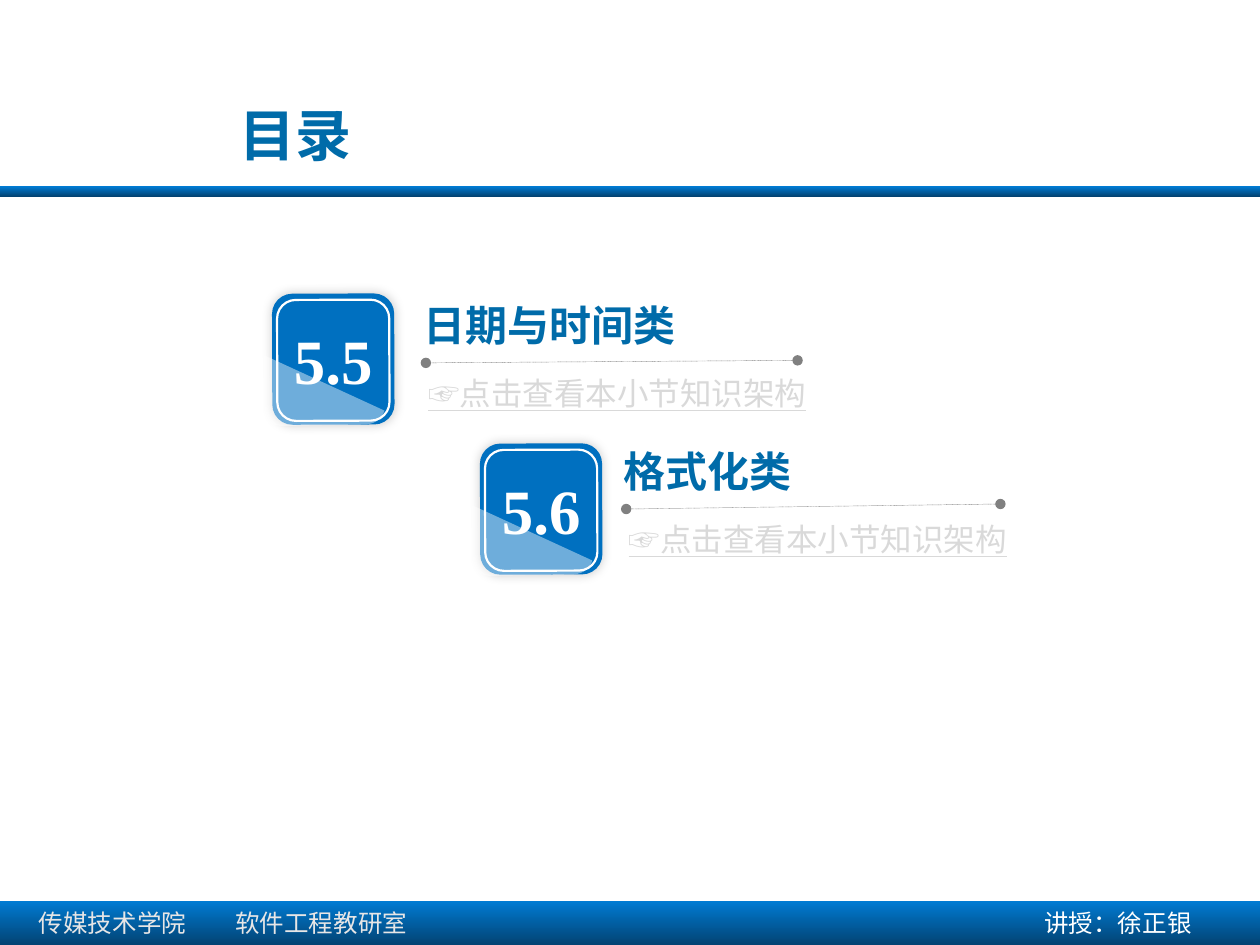
from lxml import etree
from pptx import Presentation, util as u
from pptx.dml.color import RGBColor
from pptx.enum import shapes, text
from pptx.oxml import ns

COLUMNS, ROWS = 100, 75
THEME = {
    "bar_top": "007BD3", "bar_bottom": "034373", "badge": "0070C0",
    "title": "006BA9", "hint": "D9D9D9", "rule": "808080",
    "white": "FFFFFF", "pale": "E7E6E6", "shadow": "000000",
    "heading_font": "Noto Sans CJK SC", "footer_font": "Arial", "number_font": "Times New Roman",
    "page_size": 32, "title_size": 24, "hint_size": 18, "number_size": 36, "footer_size": 14,
}
HEADING = "目录"
HINT = "☞点击查看本小节知识架构"
BARS = [(14.8, 0.8), (71.5, 3.5)]
FOOTERS = [
    ("传媒技术学院\t软件工程教研室", (2.1, 71.6, 37.8, 3.4), "pale"),
    ("讲授：徐正银", (81.9, 71.6, 17.8, 3.4), "white"),
]
SECTIONS = [
    {"number": "5.5", "title": "日期与时间类", "badge": (21.6, 23.3), "title_box": (32.6, 23.3, 22.2, 5.1),
     "rule": (29.5, -0.2), "hint_width": 33},
    {"number": "5.6", "title": "格式化类", "badge": (38.1, 35.2), "title_box": (48.5, 34.9, 15.5, 5.1),
     "rule": (29.7, -0.4), "hint_width": 35.7},
]
BADGE_SIZE = (9.7, 10.4)
TILT = 359.8
SHEEN_START = (-0.8, 4.8)
SHEEN_CORNERS = [
    [(8.9, 9.3), (8.7, 10), (8.1, 10.4), (7.3, 10.4)],
    [(0.8, 10.5), (-0.1, 10.5), (-0.8, 9.9), (-0.8, 9.2)],
]

deck = Presentation()
deck.slide_width, deck.slide_height = u.Inches(10), u.Inches(7.5)
page = deck.slides.add_slide(deck.slide_layouts[6])


def place(*lengths):
    units = (deck.slide_width / COLUMNS, deck.slide_height / ROWS)
    return [round(length * units[i % 2]) for i, length in enumerate(lengths)]


def color(name):
    return RGBColor.from_string(THEME[name])


def add_xml(parent, tag, **attributes):
    return etree.SubElement(parent, ns.qn(tag), attributes)


def style_text(para, font, size, tint, bold=False, underline=False):
    for span in para.runs:
        span.font.name = THEME[font]
        span.font.size = u.Pt(THEME[size])
        span.font.color.rgb = color(tint)
        span.font.bold = bold
        span.font.underline = underline
        add_xml(span.font._element, "a:ea", typeface=THEME[font])


def add_text(words, area, font, size, tint, wrap=True, hanging=False, tab=None,
             anchor=text.MSO_ANCHOR.TOP, **style):
    box = page.shapes.add_textbox(*place(*area))
    frame = box.text_frame
    frame.text = words
    frame.word_wrap = wrap
    frame.vertical_anchor = anchor
    para = frame.paragraphs[0]
    properties = para._p.get_or_add_pPr()
    if hanging:
        properties.set("marL", str(u.Inches(0.62)))
        properties.set("indent", str(-u.Inches(0.62)))
    if tab:
        stops = add_xml(properties, "a:tabLst")
        add_xml(stops, "a:tab", pos=str(place(tab)[0]), algn="l")
    style_text(para, font, size, tint, **style)


def add_box(preset, area, fill=None):
    shape = page.shapes.add_shape(preset, *place(*area))
    shape.shadow.inherit = False
    shape.line.fill.background()
    if fill:
        shape.fill.solid()
        shape.fill.fore_color.rgb = color(fill)
    else:
        shape.fill.background()
    return shape


def add_bar(top, height):
    bar = add_box(shapes.MSO_SHAPE.RECTANGLE, (0, top, COLUMNS, height))
    bar.fill.gradient()
    bar.fill.gradient_angle = 270
    for stop, name in zip(bar.fill.gradient_stops, ("bar_top", "bar_bottom")):
        stop.color.rgb = color(name)


def add_rule(left, top, run, rise):
    rule = page.shapes.add_connector(shapes.MSO_CONNECTOR.STRAIGHT,
                                     *place(left, top, left + run, top + rise))
    rule.line.width = u.Pt(0.25)
    rule.line.color.rgb = color("rule")
    line = rule.line._get_or_add_ln()
    add_xml(line, "a:prstDash", val="sysDot")
    for end in ("a:headEnd", "a:tailEnd"):
        add_xml(line, end, type="oval")
    add_xml(rule._element.spPr, "a:effectLst")


def bend(points, steps=10):
    for step in range(steps + 1):
        t = step / steps
        weights = ((1 - t) ** 3, 3 * t * (1 - t) ** 2, 3 * t * t * (1 - t), t ** 3)
        yield tuple(sum(w * p[axis] for w, p in zip(weights, points)) for axis in (0, 1))


def add_sheen(left, top):
    outline = [SHEEN_START] + [point for corner in SHEEN_CORNERS for point in bend(corner)]
    points = [place(left + x, top + y) for x, y in outline]
    builder = page.shapes.build_freeform(*points[0], scale=1.0)
    builder.add_line_segments(points[1:], close=True)
    sheen = builder.convert_to_shape()
    sheen.shadow.inherit = False
    sheen.rotation = TILT
    sheen.line.fill.background()
    sheen.fill.solid()
    sheen.fill.fore_color.rgb = color("white")
    tint = sheen._element.spPr.find(".//" + ns.qn("a:srgbClr"))
    add_xml(tint, "a:alpha", val="43000")


def add_badge(number, left, top):
    width, height = BADGE_SIZE
    badge = add_box(shapes.MSO_SHAPE.ROUNDED_RECTANGLE, (left, top, width, height), "badge")
    badge.rotation = TILT
    effects = badge._element.spPr.find(ns.qn("a:effectLst"))
    shadow = add_xml(effects, "a:outerShdw", blurRad=str(u.Pt(6)), dist="0", dir="13500000")
    add_xml(add_xml(shadow, "a:srgbClr", val=THEME["shadow"]), "a:alpha", val="20000")
    badge.text_frame.text = number
    badge.text_frame.word_wrap = False
    badge.text_frame.vertical_anchor = text.MSO_ANCHOR.MIDDLE
    para = badge.text_frame.paragraphs[0]
    para.alignment = text.PP_ALIGN.CENTER
    style_text(para, "number_font", "number_size", "white", bold=True)
    frame = add_box(shapes.MSO_SHAPE.ROUNDED_RECTANGLE,
                    (left + 0.4, top + 0.5, width - 0.8, height - 0.8))
    frame.rotation = TILT
    frame.line.color.rgb = color("white")
    frame.line.width = u.Pt(1.25)
    add_sheen(left, top)


for bar in BARS:
    add_bar(*bar)
for words, area, tint in FOOTERS:
    add_text(words, area, "footer_font", "footer_size", tint, tab=15.6)
add_text(HEADING, (18, 7.6, 54.1, 6.1), "heading_font", "page_size", "title", hanging=True,
         anchor=text.MSO_ANCHOR.MIDDLE, bold=True)
for section in SECTIONS:
    left, top = section["title_box"][:2]
    add_rule(left + 1.2, top + 5.5, *section["rule"])
    add_text(section["title"], section["title_box"], "heading_font", "title_size", "title",
             wrap=False, hanging=True, bold=True)
    add_badge(section["number"], *section["badge"])
    add_text(HINT, (left + 0.4, top + 5.9, section["hint_width"], 4), "heading_font",
             "hint_size", "hint", underline=True)

deck.save("out.pptx")
